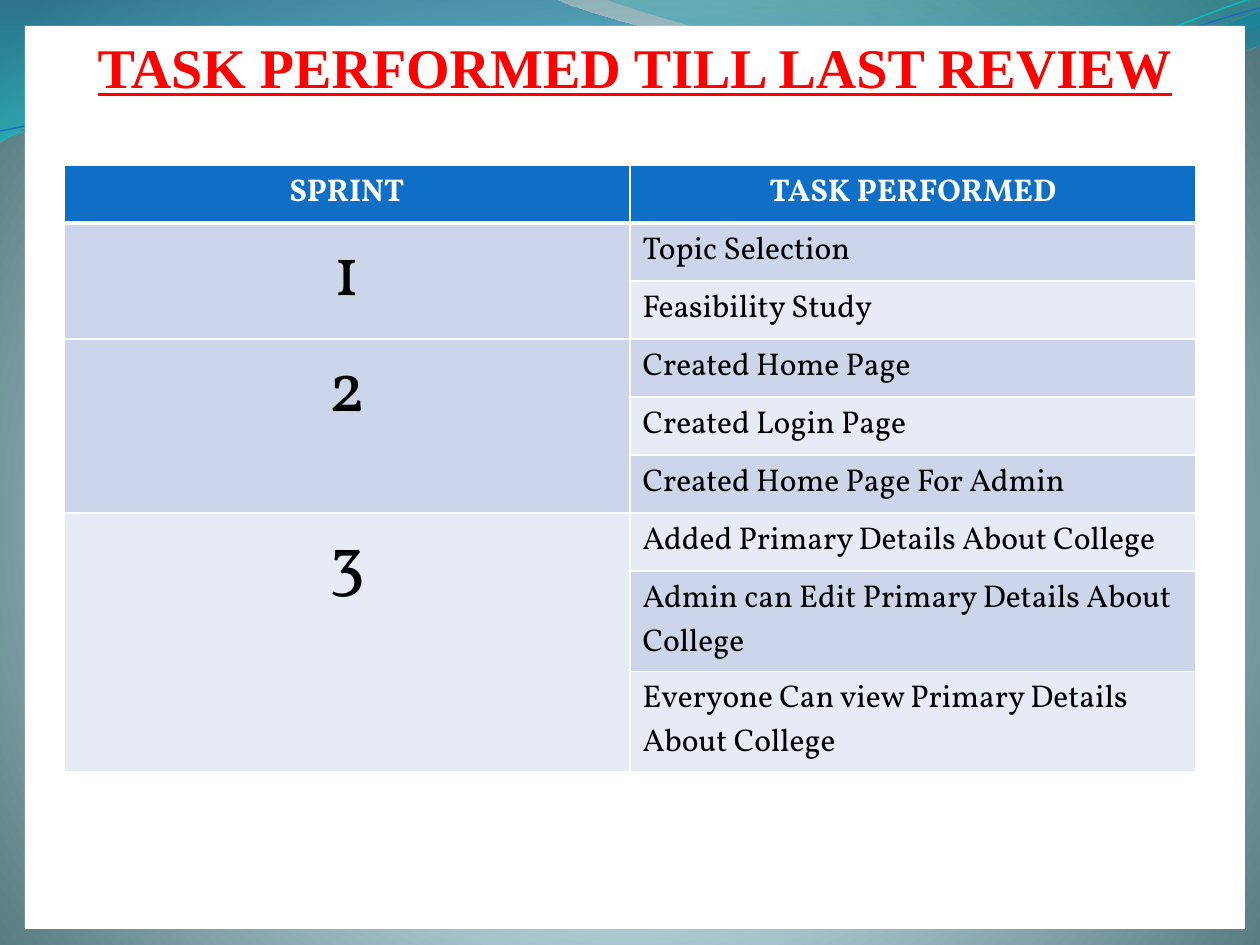
from dataclasses import dataclass

from lxml import etree
from pptx import Presentation
from pptx.dml.color import RGBColor
from pptx.enum.shapes import MSO_SHAPE
from pptx.enum.text import MSO_ANCHOR, PP_ALIGN
from pptx.oxml import parse_xml
from pptx.oxml.ns import qn
from pptx.util import Pt

CENTER, LEFT = PP_ALIGN.CENTER, PP_ALIGN.LEFT
TOP = MSO_ANCHOR.TOP
RECTANGLE = MSO_SHAPE.RECTANGLE
BLANK = 6
PX = 914400 / 126
DRAWING_NS = "http://schemas.openxmlformats.org/drawingml/2006/main"
DOWNWARD = '<a:lin ang="5400000" scaled="1"/>'
GLOW = ('<a:path path="circle"><a:fillToRect l="10000" t="110000" '
        'r="10000" b="100000"/></a:path>')


@dataclass(frozen=True)
class Theme:
    title_font: str = "Times New Roman"
    body_font: str = "Vollkorn"
    title_size: int = 32
    body_size: int = 18
    sprint_size: int = 40
    red: str = "FF0000"
    blue: str = "0F6FC6"
    teal: str = "0AB8BF"
    white: str = "FFFFFF"
    black: str = "000000"
    band_dark: str = "CCD5EA"
    band_light: str = "E7EBF5"
    # Gradient stops: position, colour, opacity (percent)
    backdrop: tuple = ((0, "DEFBFF", 100), (25, "DDFAFF", 100), (100, "52767C", 100))
    wide_wave: tuple = ((0, "0074A1", 45), (100, "00C6CF", 55))
    right_wave: tuple = ((0, "00A1A9", 30), (80, "008BBF", 45))


THEME = Theme()

# Steps of an outline: one point is a straight line, three are a curve
WIDE_WAVE = [[(554, -1)],
             [(600, 21), (837, 79), (955, 79)], [(1075, 79), (1207, 33), (1260, 11)],
             [(1261, 45)],
             [(1239, 55), (1096, 96), (940, 95)], [(784, 95), (481, 35), (324, 43)],
             [(163, 45), (58, 105), (-1, 142)]]
RIGHT_WAVE = [[(641, 14), (859, 78), (969, 82)], [(1079, 86), (1211, 40), (1260, 26)],
              [(1260, 0)]]
TEAL_LINE = [[(60, 140 - 23), (199, 72), (349, 66)], [(498, 59), (747, 112), (898, 101)],
             [(1049, 89), (1182, 19), (1257, -3)]]
BLUE_LINE = [[(59, 121), (207, 77), (357, 71)], [(508, 64), (752, 106), (903, 95)],
             [(1053, 84), (1186, 26), (1260, 8)]]

HEADERS = ("SPRINT", "TASK PERFORMED")
SPRINTS = [
    ("1", THEME.band_dark, ["Topic Selection", "Feasibility Study"]),
    ("2", THEME.band_dark, ["Created Home Page", "Created Login Page",
                            "Created Home Page For Admin"]),
    ("3", THEME.band_light, ["Added Primary Details About College",
                             "Admin can Edit Primary Details About College",
                             "Everyone Can view Primary Details About College"]),
]


def emu(*lengths):
    return [round(length * PX) for length in lengths]


def rgb(value):
    return RGBColor.from_string(value)


def gradient(stops, direction):
    marks = "".join(
        f'<a:gs pos="{pos * 1000}"><a:srgbClr val="{color}">'
        f'<a:alpha val="{opacity * 1000}"/></a:srgbClr></a:gs>'
        for pos, color, opacity in stops)
    return parse_xml(f'<a:gradFill xmlns:a="{DRAWING_NS}" rotWithShape="1">'
                     f'<a:gsLst>{marks}</a:gsLst>{direction}</a:gradFill>')


def apply_gradient(fill, parent, stops, direction):
    fill.gradient()
    parent.replace(parent.find(qn("a:gradFill")), gradient(stops, direction))


def write(frame, text, align, **formats):
    paragraph = frame.paragraphs[0]
    paragraph.alignment = align
    run = paragraph.add_run()
    run.text = text
    run.font.color.rgb = rgb(formats.pop("color"))
    for name, value in formats.items():
        setattr(run.font, name, value)
    return paragraph


def add_outline(slide, box, start, steps, closed):
    left, top = box[:2]
    builder = slide.shapes.build_freeform(start[0] + left, start[1] + top, scale=PX)
    builder.add_line_segments([(x + left, y + top) for step in steps for x, y in step],
                              close=closed)
    shape = builder.convert_to_shape()
    shape.shadow.inherit = False

    # Join each group of three segments into one cubic curve
    segments = iter(list(shape._element.iter(qn("a:lnTo"))))
    for step in steps:
        group = [next(segments) for _ in step]
        if len(group) == 3:
            group[0].tag = qn("a:cubicBezTo")
            for extra in group[1:]:
                group[0].append(extra[0])
                extra.getparent().remove(extra)
    return shape


def add_waves(slide, box):
    for start, steps, stops in (((0, 0), WIDE_WAVE, THEME.wide_wave),
                                ((604, -1), RIGHT_WAVE, THEME.right_wave)):
        wave = add_outline(slide, box, start, steps, True)
        apply_gradient(wave.fill, wave._element.spPr, stops, DOWNWARD)
        wave.line.fill.background()
    for start, steps, color, width in (((0, 140), TEAL_LINE, THEME.teal, 0.85),
                                       ((0, 131), BLUE_LINE, THEME.blue, 0.75)):
        ripple = add_outline(slide, box, start, steps, False)
        ripple.fill.background()
        ripple.line.color.rgb = rgb(color)
        ripple.line.width = Pt(width)


def add_title_panel(slide, box):
    panel = slide.shapes.add_shape(RECTANGLE, *emu(*box))
    panel.shadow.inherit = False
    panel.fill.solid()
    panel.fill.fore_color.rgb = rgb(THEME.white)
    panel.line.fill.background()
    frame = panel.text_frame
    frame.word_wrap = True
    frame.vertical_anchor = TOP
    title = write(frame, "TASK PERFORMED TILL LAST REVIEW", CENTER,
                  name=THEME.title_font, size=Pt(THEME.title_size),
                  color=THEME.red, bold=True, underline=True)
    title.space_before = Pt(4)


def fill_cell(cell, color):
    cell.fill.solid()
    cell.fill.fore_color.rgb = rgb(color)


def add_header_borders(cell):
    properties = cell._tc.get_or_add_tcPr()
    for side, width in {"L": 1, "R": 1, "T": 1, "B": 3}.items():
        line = etree.SubElement(properties, qn(f"a:ln{side}"), w=str(Pt(width)))
        solid = etree.SubElement(line, qn("a:solidFill"))
        etree.SubElement(solid, qn("a:srgbClr"), val=THEME.white)


def add_sprint_table(slide, box):
    heights = [58] * 7 + [100] * 2
    table = slide.shapes.add_table(len(heights), 2, *emu(*box, sum(heights))).table
    for column in table.columns:
        column.width = emu(box[2] / 2)[0]
    for row, height in zip(table.rows, heights):
        row.height = emu(height)[0]

    # Header row
    body = {"name": THEME.body_font, "size": Pt(THEME.body_size)}
    for column, header in enumerate(HEADERS):
        cell = table.cell(0, column)
        add_header_borders(cell)
        fill_cell(cell, THEME.blue)
        write(cell.text_frame, header, CENTER, color=THEME.white, bold=True, **body)

    # One merged sprint cell beside its tasks
    row = 1
    for sprint, sprint_fill, tasks in SPRINTS:
        sprint_cell = table.cell(row, 0)
        sprint_cell.merge(table.cell(row + len(tasks) - 1, 0))
        fill_cell(sprint_cell, sprint_fill)
        write(sprint_cell.text_frame, sprint, CENTER, name=THEME.body_font,
              size=Pt(THEME.sprint_size), color=THEME.black, bold=False)
        for task in tasks:
            task_cell = table.cell(row, 1)
            fill_cell(task_cell, THEME.band_dark if row % 2 else THEME.band_light)
            write(task_cell.text_frame, task, LEFT,
                  color=THEME.black, bold=False, **body)
            row += 1


def main():
    deck = Presentation()
    deck.slide_width, deck.slide_height = emu(1260, 945)
    slide = deck.slides.add_slide(deck.slide_layouts[BLANK])
    backdrop = slide.background.fill
    apply_gradient(backdrop, slide._element.cSld.bg.bgPr, THEME.backdrop, GLOW)
    add_waves(slide, (0, 0, 1260, 142))
    add_title_panel(slide, (25, 26, 1220, 903))
    add_sprint_table(slide, (64, 165, 1132))
    deck.save("out.pptx")


if __name__ == "__main__":
    main()
